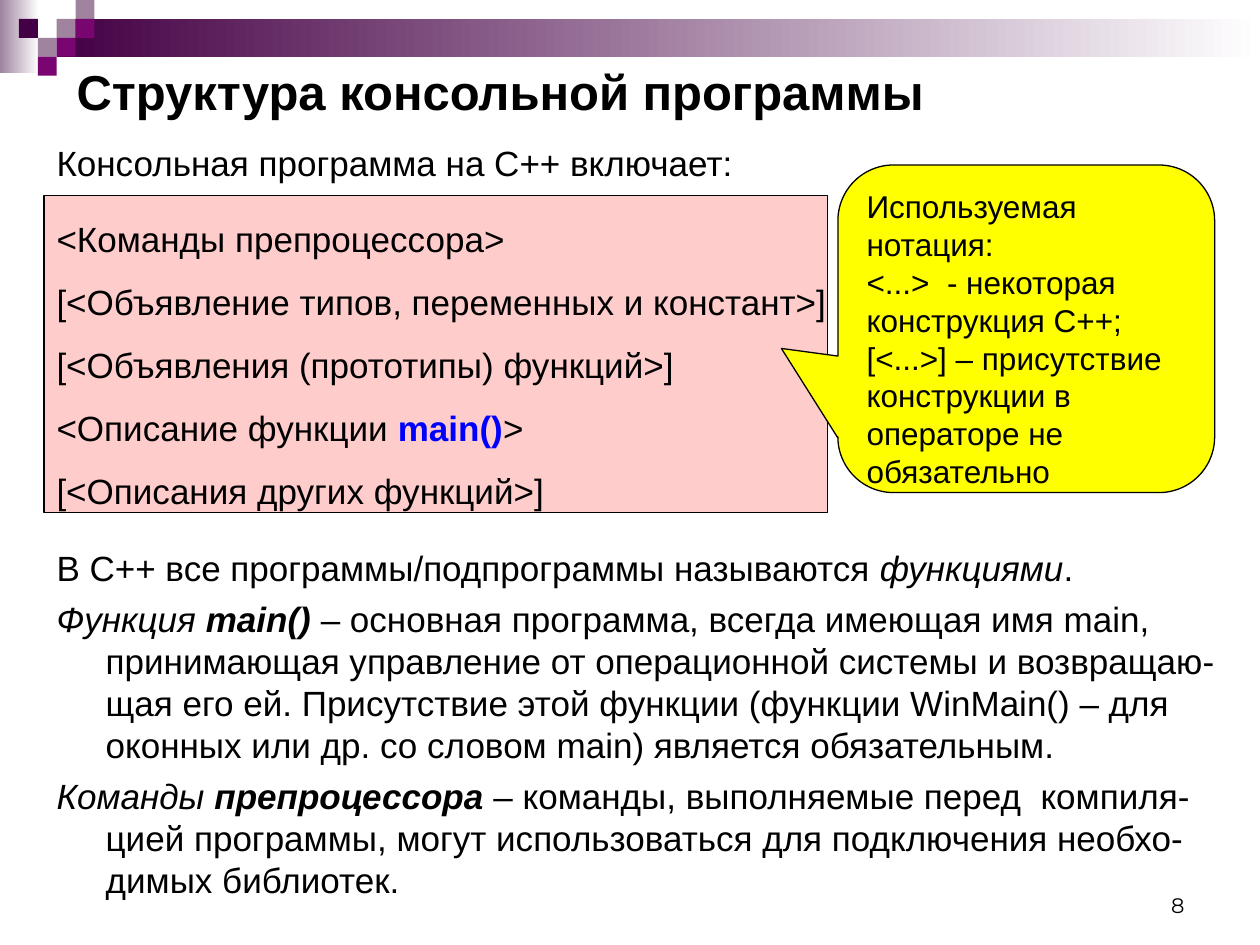
from pptx import Presentation
from pptx.dml.color import RGBColor
from pptx.enum.shapes import MSO_SHAPE
from pptx.enum.text import MSO_ANCHOR, PP_ALIGN
from pptx.util import Inches, Pt

RECTANGLE = MSO_SHAPE.RECTANGLE
CALLOUT = MSO_SHAPE.ROUNDED_RECTANGULAR_CALLOUT
TOP, MIDDLE, BOTTOM = MSO_ANCHOR.TOP, MSO_ANCHOR.MIDDLE, MSO_ANCHOR.BOTTOM
LEFT, RIGHT = PP_ALIGN.LEFT, PP_ALIGN.RIGHT

WIDTH, HEIGHT = 10, 7.5
MARGIN = 0.35
CELL = 0.15
INDENT = 0.39
BLACK, WHITE, PINK, YELLOW = "000000", "FFFFFF", "FFCCCC", "FFFF00"
DARK, PURPLE, MAUVE = "440044", "790571", "9F839F"

# Left, top, width, height and starting colour of the bands that fade to white
BANDS = [(0, 0, 0.31, 0.58, MAUVE), (3 * CELL, CELL, WIDTH - 3 * CELL, 2 * CELL, DARK)]
# Column, row and colour of each mosaic square
MOSAIC = [(3, 1, MAUVE), (4, 0, MAUVE), (4, 1, PURPLE), (2, 2, MAUVE),
          (1, 1, DARK), (3, 2, PURPLE), (2, 3, PURPLE)]

ITALIC = {"italic": True}
BOLD = {"bold": True}
BOLD_ITALIC = {"bold": True, "italic": True}
KEYWORD = {"bold": True, "color": "0000FF"}

# Each paragraph is a list of (text, format) runs
TITLE = [[("Структура консольной программы", BOLD)]]
INTRO = [[("Консольная программа на С++ включает:", {})]]
STRUCTURE = [
    [("<Команды препроцессора>", {})],
    [("[<Объявление типов, переменных и констант>]", {})],
    [("[<Объявления (прототипы) функций>]", {})],
    [("<Описание функции ", {}), ("main()", KEYWORD), (">", {})],
    [("[<Описания других функций>]", {})],
]
NOTATION = [
    [("Используемая нотация:", {})],
    [("<...>  - некоторая конструкция С++;", {})],
    [("[<...>] – присутствие конструкции в операторе не обязательно", {})],
]
DEFINITIONS = [
    [("В С++ все программы/подпрограммы называются ", {}), ("функциями", ITALIC), (".", {})],
    [("Функция ", ITALIC), ("main() ", BOLD_ITALIC),
     ("– основная программа, всегда имеющая имя main, принимающая управление от "
      "операционной системы и возвращаю-щая его ей. Присутствие этой функции "
      "(функции WinMain() – для оконных или др. со словом main) является обязательным.", {})],
    [("Команды", ITALIC), (" препроцессора", BOLD_ITALIC),
     (" – команды, выполняемые перед  компиля-цией программы, могут использоваться "
      "для подключения необхо-димых библиотек.", {})],
]
PAGE_NUMBER = [[("8", {})]]


def rgb(color):
    return RGBColor.from_string(color)


def add_shape(page, kind, place, fill, line=None):
    shape = page.shapes.add_shape(kind, *map(Inches, place))
    shape.shadow.inherit = False
    shape.fill.solid()
    shape.fill.fore_color.rgb = rgb(fill)
    if line:
        shape.line.color.rgb = rgb(line)
        shape.line.width = Pt(0.75)
    else:
        shape.line.fill.background()
    return shape


def add_band(page, place, color):
    band = add_shape(page, RECTANGLE, place, color)
    band.fill.gradient()
    band.fill.gradient_angle = 0
    for stop, stop_color in zip(band.fill.gradient_stops, (color, WHITE)):
        stop.color.rgb = rgb(stop_color)


def write(shape, paragraphs, size, font="Arial", anchor=TOP, wrap=True, hanging=0, **spacing):
    """Fill a shape with paragraphs; spacing holds paragraph attributes."""
    frame = shape.text_frame
    frame.word_wrap = wrap
    frame.vertical_anchor = anchor
    for number, runs in enumerate(paragraphs):
        para = frame.add_paragraph() if number else frame.paragraphs[0]
        for name, value in {"alignment": LEFT, **spacing}.items():
            setattr(para, name, value)
        if hanging:
            properties = para._p.get_or_add_pPr()
            properties.set("marL", str(Inches(hanging)))
            properties.set("indent", str(-Inches(hanging)))
        for text, style in runs:
            span = para.add_run()
            span.text = text
            look = {"name": font, "size": Pt(size), "bold": False, "italic": False, **style}
            span.font.color.rgb = rgb(look.pop("color", BLACK))
            for name, value in look.items():
                setattr(span.font, name, value)


def add_text(page, place, paragraphs, size, **layout):
    write(page.shapes.add_textbox(*map(Inches, place)), paragraphs, size, **layout)


def main():
    deck = Presentation()
    deck.slide_width, deck.slide_height = Inches(WIDTH), Inches(HEIGHT)
    page = deck.slides.add_slide(deck.slide_layouts[6])

    for *place, color in BANDS:
        add_band(page, place, color)
    for column, row, color in MOSAIC:
        add_shape(page, RECTANGLE, (column * CELL, row * CELL, CELL, CELL), color)

    add_text(page, (7.17, 6.83, 2.33, 0.5), PAGE_NUMBER, 12,
             font="Montserrat", anchor=BOTTOM, alignment=RIGHT)
    add_text(page, (MARGIN, 4.29, 9.45, 2.93), DEFINITIONS, 20,
             hanging=INDENT, space_before=Pt(5))

    structure = add_shape(page, RECTANGLE, (MARGIN, 1.55, 6.22, 2.52), PINK, BLACK)
    write(structure, STRUCTURE, 20, anchor=MIDDLE, wrap=False, line_spacing=1.5)

    add_text(page, (0.51, 0.44, 8.98, 0.57), TITLE, 28)
    add_text(page, (MARGIN, 1.07, 8.58, 0.44), INTRO, 20, space_before=Pt(12.5))

    notation = add_shape(page, CALLOUT, (6.65, 1.31, 2.99, 2.6), YELLOW, BLACK)
    for number, value in enumerate((-0.65, 0.06, 0.17)):
        notation.adjustments[number] = value
    write(notation, NOTATION, 18)

    deck.save("out.pptx")


if __name__ == "__main__":
    main()
